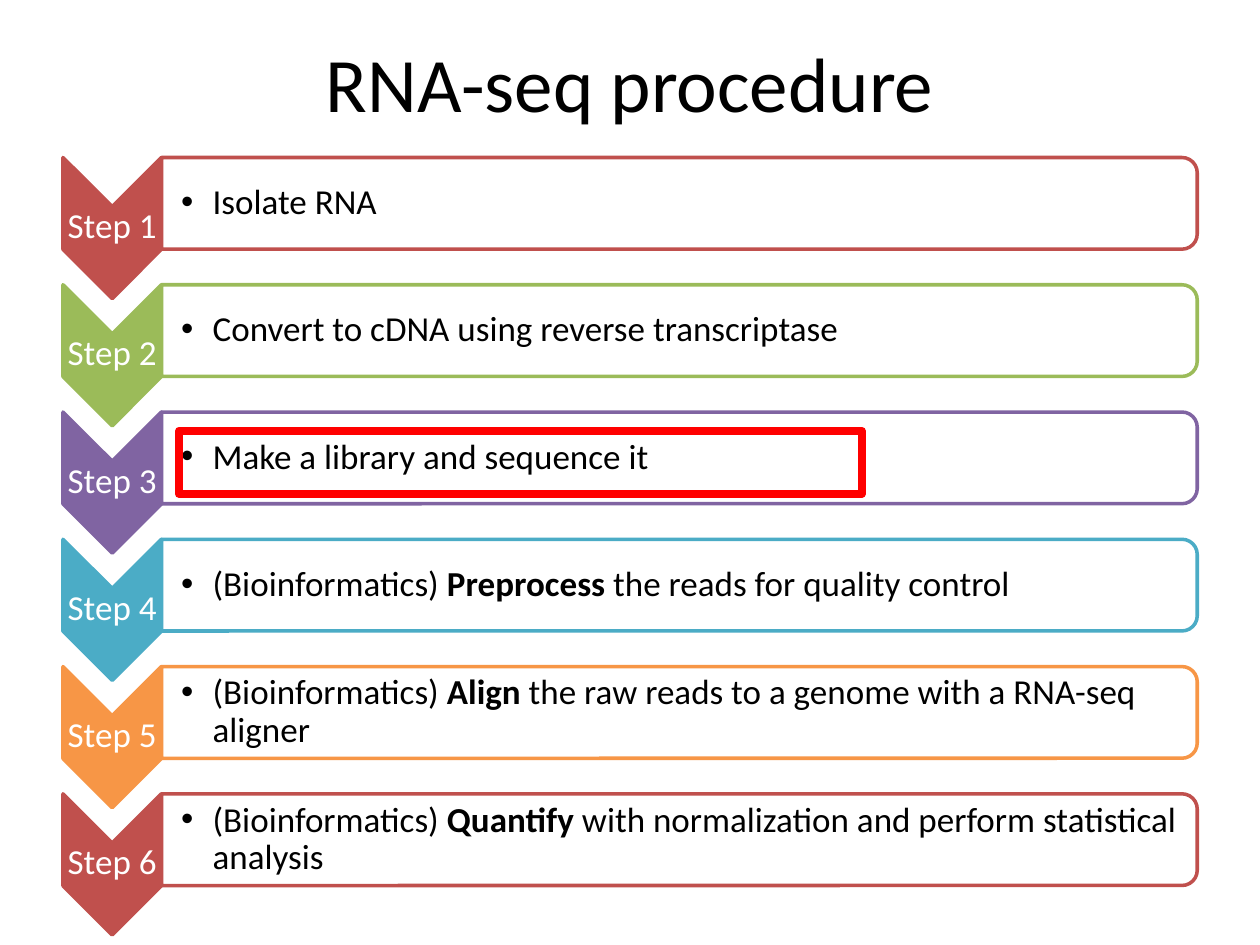
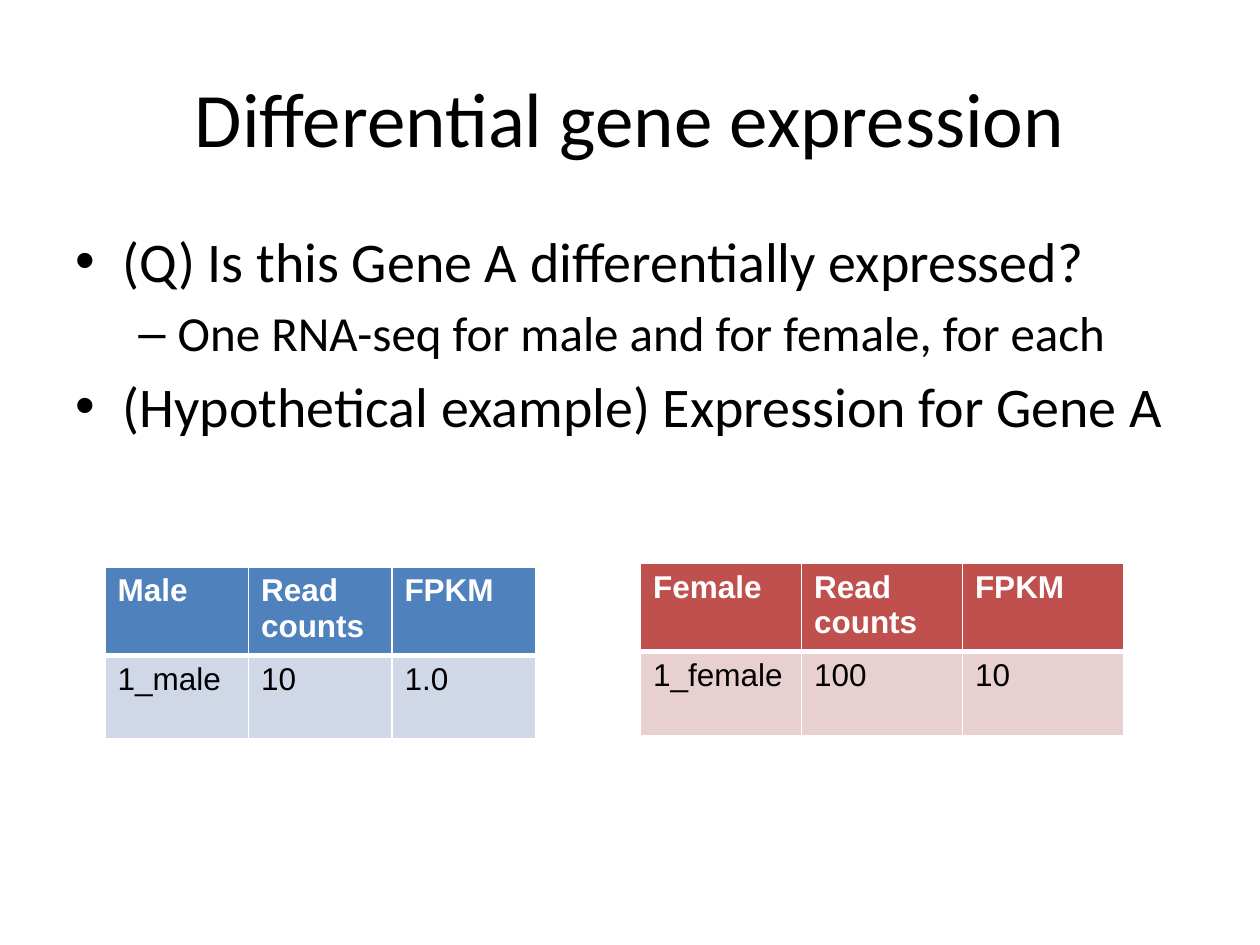
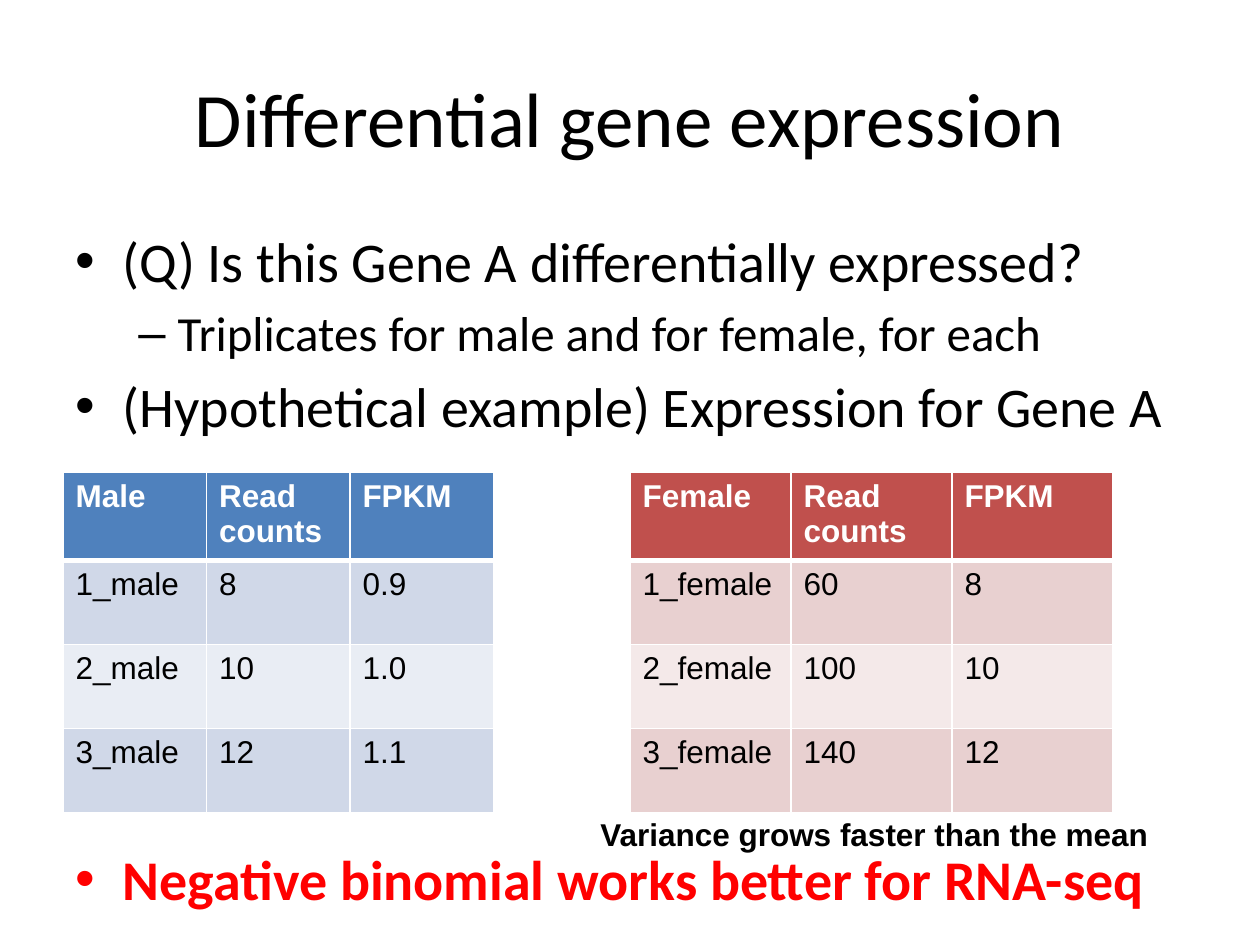
from dataclasses import dataclass

from lxml import etree
from pptx import Presentation
from pptx.dml.color import RGBColor
from pptx.enum.shapes import MSO_SHAPE
from pptx.enum.text import MSO_ANCHOR, PP_ALIGN
from pptx.oxml.ns import qn
from pptx.util import Pt

CHEVRON = MSO_SHAPE.CHEVRON
PANEL = MSO_SHAPE.ROUND_2_SAME_RECTANGLE
RECTANGLE = MSO_SHAPE.RECTANGLE
MIDDLE = MSO_ANCHOR.MIDDLE
TOP = MSO_ANCHOR.TOP
CENTER = PP_ALIGN.CENTER


@dataclass(frozen=True)
class Theme:
    black: str = "000000"
    white: str = "FFFFFF"
    alert: str = "FF0000"
    blue: str = "4F81BD"
    red: str = "C0504D"
    green: str = "9BBB59"
    purple: str = "8064A2"
    teal: str = "4BACC6"
    orange: str = "F79646"
    blue_bands: tuple[str, str] = ("D0D8E8", "E9EDF4")
    red_bands: tuple[str, str] = ("E8D0D0", "F4E9E9")
    font: str = "Calibri"
    table_font: str = "Arial"
    title_size: float = 44
    point_size: float = 32
    detail_size: float = 28
    step_size: float = 20
    table_size: float = 18


THEME = Theme()


@dataclass(frozen=True)
class Area:
    left: float
    top: float
    width: float
    height: float

    def lengths(self) -> tuple:
        return Pt(self.left), Pt(self.top), Pt(self.width), Pt(self.height)

    def turned(self) -> "Area":
        shift = (self.width - self.height) / 2
        return Area(self.left + shift, self.top - shift, self.height, self.width)

    def down(self, distance: float) -> "Area":
        return Area(self.left, self.top + distance, self.width, self.height)


@dataclass(frozen=True)
class Step:
    color: str
    before: str
    keyword: str = ""
    after: str = ""


@dataclass(frozen=True)
class Bullet:
    mark: str
    margin: float
    hanging: float


@dataclass(frozen=True)
class Point:
    text: str
    bullet: Bullet
    size: float
    space_before: float
    color: str = THEME.black
    bold: bool = False


@dataclass(frozen=True)
class Sample:
    heading: str
    color: str
    bands: tuple[str, str]
    column_width: float


STEP_BULLET = Bullet("•", 18, 18)
POINT_BULLET = Bullet("•", 27, 27)
DETAIL_BULLET = Bullet("–", 58.5, 22.5)

STEPS = (
    Step(THEME.red, "Isolate RNA"),
    Step(THEME.green, "Convert to cDNA using reverse transcriptase"),
    Step(THEME.purple, "Make a library and sequence it"),
    Step(THEME.teal, "(Bioinformatics) ", "Preprocess", " the reads for quality control"),
    Step(THEME.orange, "(Bioinformatics) ", "Align", " the raw reads to a genome with a RNA-seq aligner"),
    Step(THEME.red, "(Bioinformatics) ", "Quantify", " with normalization and perform statistical analysis"),
)
STEP_PITCH = 72.72
CHEVRON_AREA = Area(36, 90, 56.16, 80.64)
LABEL_AREA = Area(36, 118, 56.16, 23.76)
PANEL_AREA = Area(92.3, 90, 591.84, 52.4)
PANEL_TEXT_AREA = Area(92.3, 92.8, 589, 46.8)
LIBRARY_FRAME = Area(102.24, 246.24, 390.24, 36)

TITLE_AREA = Area(36, 21.6, 648, 90)
SHORT_TITLE_AREA = Area(36, 21.6, 648, 50.4)
BODY_AREA = Area(36, 126, 648, 136)
CONCLUSION_AREA = Area(36, 479, 648, 46)
VARIANCE_AREA = Area(336, 462, 332, 29)

ROW_HEIGHT = 48
MALE = Sample("Male", THEME.blue, THEME.blue_bands, 82)
FEMALE = Sample("Female", THEME.red, THEME.red_bands, 92)


def rgb(color: str) -> RGBColor:
    return RGBColor.from_string(color)


def style(font, size: float, color: str = THEME.black, bold: bool = False, name: str = THEME.font) -> None:
    font.name = name
    font.size = Pt(size)
    font.bold = bold
    font.color.rgb = rgb(color)


def add_box(page, area: Area, anchor=TOP, insets: tuple[float, float] = (7.2, 7.2), edge: float = 3.6):
    box = page.shapes.add_textbox(*area.lengths())
    frame = box.text_frame
    frame.word_wrap = True
    frame.vertical_anchor = anchor
    frame.margin_left, frame.margin_right = map(Pt, insets)
    frame.margin_top = frame.margin_bottom = Pt(edge)
    return frame


def add_bullet(para, bullet: Bullet) -> None:
    properties = para._p.get_or_add_pPr()
    properties.set("marL", str(Pt(bullet.margin)))
    properties.set("indent", str(-Pt(bullet.hanging)))
    etree.SubElement(properties, qn("a:buFont"), typeface="Arial")
    etree.SubElement(properties, qn("a:buChar"), char=bullet.mark)


def add_title(page, text: str, area: Area = TITLE_AREA) -> None:
    frame = add_box(page, area, MIDDLE)
    frame.text = text
    para = frame.paragraphs[0]
    para.alignment = CENTER
    style(para.runs[0].font, THEME.title_size)


def add_points(page, area: Area, points: tuple[Point, ...]) -> None:
    frame = add_box(page, area)
    for index, point in enumerate(points):
        para = frame.add_paragraph() if index else frame.paragraphs[0]
        para.text = point.text
        add_bullet(para, point.bullet)
        para.space_before = Pt(point.space_before if index else 0)
        style(para.runs[0].font, point.size, point.color, point.bold)


def add_outline(page, kind, area: Area, color: str, weight: float):
    shape = page.shapes.add_shape(kind, *area.lengths())
    shape.shadow.inherit = False
    shape.line.color.rgb = rgb(color)
    shape.line.width = Pt(weight)
    return shape


def add_turned(page, kind, area: Area, fill: str, line: str):
    shape = add_outline(page, kind, area.turned(), line, 2)
    shape.rotation = 90
    shape.fill.solid()
    shape.fill.fore_color.rgb = rgb(fill)
    return shape


def add_step(page, number: int, step: Step) -> None:
    distance = (number - 1) * STEP_PITCH
    add_turned(page, CHEVRON, CHEVRON_AREA.down(distance), step.color, step.color)

    label = add_box(page, LABEL_AREA.down(distance), MIDDLE, (0.9, 0.9), 0.9)
    label.text = f"Step {number}"
    para = label.paragraphs[0]
    para.alignment = CENTER
    para.line_spacing = 0.9
    para.space_after = Pt(7)
    style(para.runs[0].font, THEME.step_size, THEME.white)

    panel = add_turned(page, PANEL, PANEL_AREA.down(distance), THEME.white, step.color)
    panel_color = panel.element.spPr.find(qn("a:solidFill")).find(qn("a:srgbClr"))
    etree.SubElement(panel_color, qn("a:alpha"), val="90000")

    frame = add_box(page, PANEL_TEXT_AREA.down(distance), MIDDLE, (11.2, 0.9), 0.9)
    para = frame.paragraphs[0]
    add_bullet(para, STEP_BULLET)
    para.line_spacing = 0.9
    para.space_after = Pt(3)
    for text in filter(None, (step.before, step.keyword, step.after)):
        span = para.add_run()
        span.text = text
        style(span.font, THEME.step_size, bold=text == step.keyword)


def add_borders(cell, bottom: float) -> None:
    properties = cell._tc.get_or_add_tcPr()
    for side, weight in (("L", 1), ("R", 1), ("T", 1), ("B", bottom)):
        line = etree.SubElement(properties, qn(f"a:ln{side}"), w=str(Pt(weight)))
        fill = etree.SubElement(line, qn("a:solidFill"))
        etree.SubElement(fill, qn("a:srgbClr"), val=THEME.white)


def add_sample_table(page, left: float, top: float, sample: Sample, rows: tuple[tuple[str, str, str], ...]) -> None:
    contents = ((sample.heading, "Read counts", "FPKM"), *rows)
    columns = len(contents[0])
    area = Area(left, top, columns * sample.column_width, len(contents) * ROW_HEIGHT)
    table = page.shapes.add_table(len(contents), columns, *area.lengths()).table
    for row, texts in enumerate(contents):
        header = row == 0
        for column, text in enumerate(texts):
            cell = table.cell(row, column)
            add_borders(cell, 3 if header else 1)
            cell.fill.solid()
            cell.fill.fore_color.rgb = rgb(sample.color if header else sample.bands[(row - 1) % 2])
            cell.text_frame.text = text
            color = THEME.white if header else THEME.black
            style(cell.text_frame.paragraphs[0].runs[0].font, THEME.table_size, color, header, THEME.table_font)


def add_expression_page(deck, design: str):
    page = add_page(deck)
    add_title(page, "Differential gene expression")
    add_points(page, BODY_AREA, (
        Point("(Q) Is this Gene A differentially expressed?", POINT_BULLET, THEME.point_size, 5.76),
        Point(f"{design} for male and for female, for each", DETAIL_BULLET, THEME.detail_size, 5.04),
        Point("(Hypothetical example) Expression for Gene A", POINT_BULLET, THEME.point_size, 5.76),
    ))
    return page


def add_page(deck):
    return deck.slides.add_slide(deck.slide_layouts[6])


def build_procedure(deck) -> None:
    page = add_page(deck)
    add_title(page, "RNA-seq procedure", SHORT_TITLE_AREA)
    for number, step in enumerate(STEPS, 1):
        add_step(page, number, step)
    add_outline(page, RECTANGLE, LIBRARY_FRAME, THEME.alert, 4.5).fill.background()


def build_single_sample(deck) -> None:
    page = add_expression_page(deck, "One RNA-seq")
    add_sample_table(page, 60, 324, MALE, (("1_male", "10", "1.0"),))
    add_sample_table(page, 366, 322, FEMALE, (("1_female", "100", "10"),))


def build_triplicates(deck) -> None:
    page = add_expression_page(deck, "Triplicates")
    add_points(page, CONCLUSION_AREA, (
        Point("Negative binomial works better for RNA-seq", POINT_BULLET, THEME.point_size, 0, THEME.alert, True),
    ))
    add_sample_table(page, 36, 270, MALE, (
        ("1_male", "8", "0.9"),
        ("2_male", "10", "1.0"),
        ("3_male", "12", "1.1"),
    ))
    add_sample_table(page, 360, 270, FEMALE, (
        ("1_female", "60", "8"),
        ("2_female", "100", "10"),
        ("3_female", "140", "12"),
    ))
    remark = add_box(page, VARIANCE_AREA)
    remark.word_wrap = False
    remark.text = "Variance grows faster than the mean"
    style(remark.paragraphs[0].runs[0].font, THEME.table_size, bold=True, name=THEME.table_font)


def main() -> None:
    deck = Presentation()
    deck.slide_width = Pt(720)
    deck.slide_height = Pt(540)
    build_procedure(deck)
    build_single_sample(deck)
    build_triplicates(deck)
    deck.save("out.pptx")


if __name__ == "__main__":
    main()
